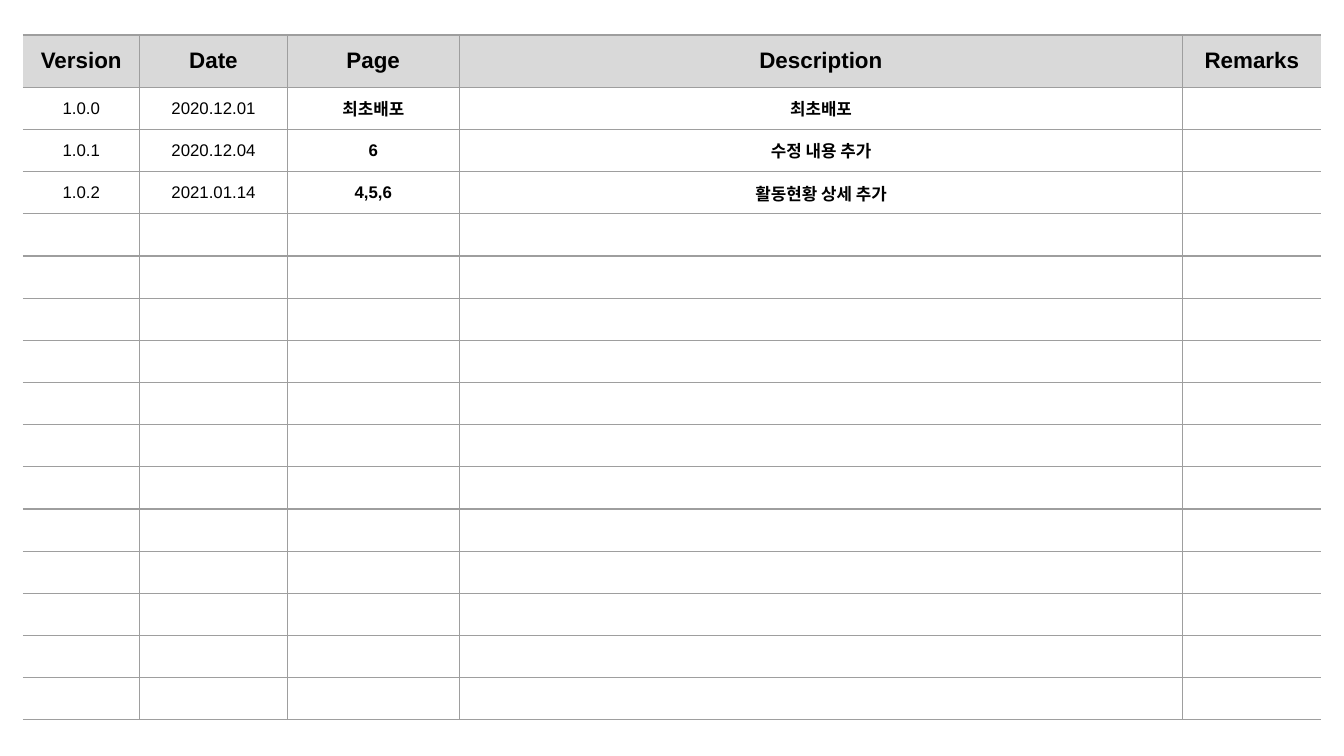
from dataclasses import dataclass

from lxml.etree import SubElement
from pptx import Presentation
from pptx.dml.color import RGBColor
from pptx.enum.text import MSO_ANCHOR, PP_ALIGN
from pptx.oxml.ns import qn
from pptx.util import Inches, Pt


@dataclass(frozen=True)
class Theme:
    font: str = "Arial"
    ink: str = "000000"
    rule: str = "9E9E9E"
    band: str = "D9D9D9"
    head: float = 12
    body: float = 9
    line: float = 0.75


THEME = Theme()
HEADS = ["Version", "Date", "Page", "Description", "Remarks"]
WIDTHS = [0.87, 1.1, 1.28, 5.39, 1.03]
BOLD_COLS = (2, 3)
LOG = [
    ["1.0.0", "2020.12.01", "최초배포", "최초배포", ""],
    ["1.0.1", "2020.12.04", "6", "수정 내용 추가", ""],
    ["1.0.2", "2021.01.14", "4,5,6", "활동현황 상세 추가", ""],
]
BODY_ROWS = 15
HEAD_HEIGHT = 0.39


def set_borders(cell, open_sides):
    """Rule every side of the cell except the open ones."""
    props = cell._tc.get_or_add_tcPr()
    for side in "LRTB":
        line = SubElement(props, qn(f"a:ln{side}"), w=str(Pt(THEME.line)))
        if side in open_sides:
            SubElement(line, qn("a:noFill"))
        else:
            fill = SubElement(line, qn("a:solidFill"))
            SubElement(fill, qn("a:srgbClr"), val=THEME.rule)


def set_cell(cell, text, size, bold, fill):
    cell.margin_left = cell.margin_right = 0
    cell.margin_top = cell.margin_bottom = 0
    cell.vertical_anchor = MSO_ANCHOR.MIDDLE
    if fill:
        cell.fill.solid()
        cell.fill.fore_color.rgb = RGBColor.from_string(fill)
    else:
        cell.fill.background()
    if not text:
        return
    cell.text_frame.text = text
    para = cell.text_frame.paragraphs[0]
    para.alignment = PP_ALIGN.CENTER
    font = para.runs[0].font
    font.name, font.size, font.bold = THEME.font, Pt(size), bold
    font.color.rgb = RGBColor.from_string(THEME.ink)


def add_history(slide, left, top, width, height):
    """Draw the revision history, with spare rows below the log."""
    count = len(HEADS)
    spare = [[""] * count] * (BODY_ROWS - len(LOG))
    rows = [HEADS] + LOG + spare
    table = slide.shapes.add_table(
        len(rows), count, Inches(left), Inches(top), Inches(width), Inches(height)
    ).table
    table.first_row = table.horz_banding = False

    for col, share in zip(table.columns, WIDTHS):
        col.width = Inches(width * share / sum(WIDTHS))
    for row in table.rows:
        row.height = Inches((height - HEAD_HEIGHT) / BODY_ROWS)
    table.rows[0].height = Inches(HEAD_HEIGHT)

    for r, texts in enumerate(rows):
        for c, text in enumerate(texts):
            cell = table.cell(r, c)
            set_borders(cell, {0: "L", count - 1: "R"}.get(c, ""))
            if r == 0:
                set_cell(cell, text, THEME.head, True, THEME.band)
            else:
                set_cell(cell, text, THEME.body, c in BOLD_COLS, None)


def main():
    deck = Presentation()
    deck.slide_width = Inches(10)
    deck.slide_height = deck.slide_width * 9 // 16
    slide = deck.slides.add_slide(deck.slide_layouts[6])
    add_history(slide, 0.17, 0.26, 9.66, 5.1)
    deck.save("out.pptx")


if __name__ == "__main__":
    main()
